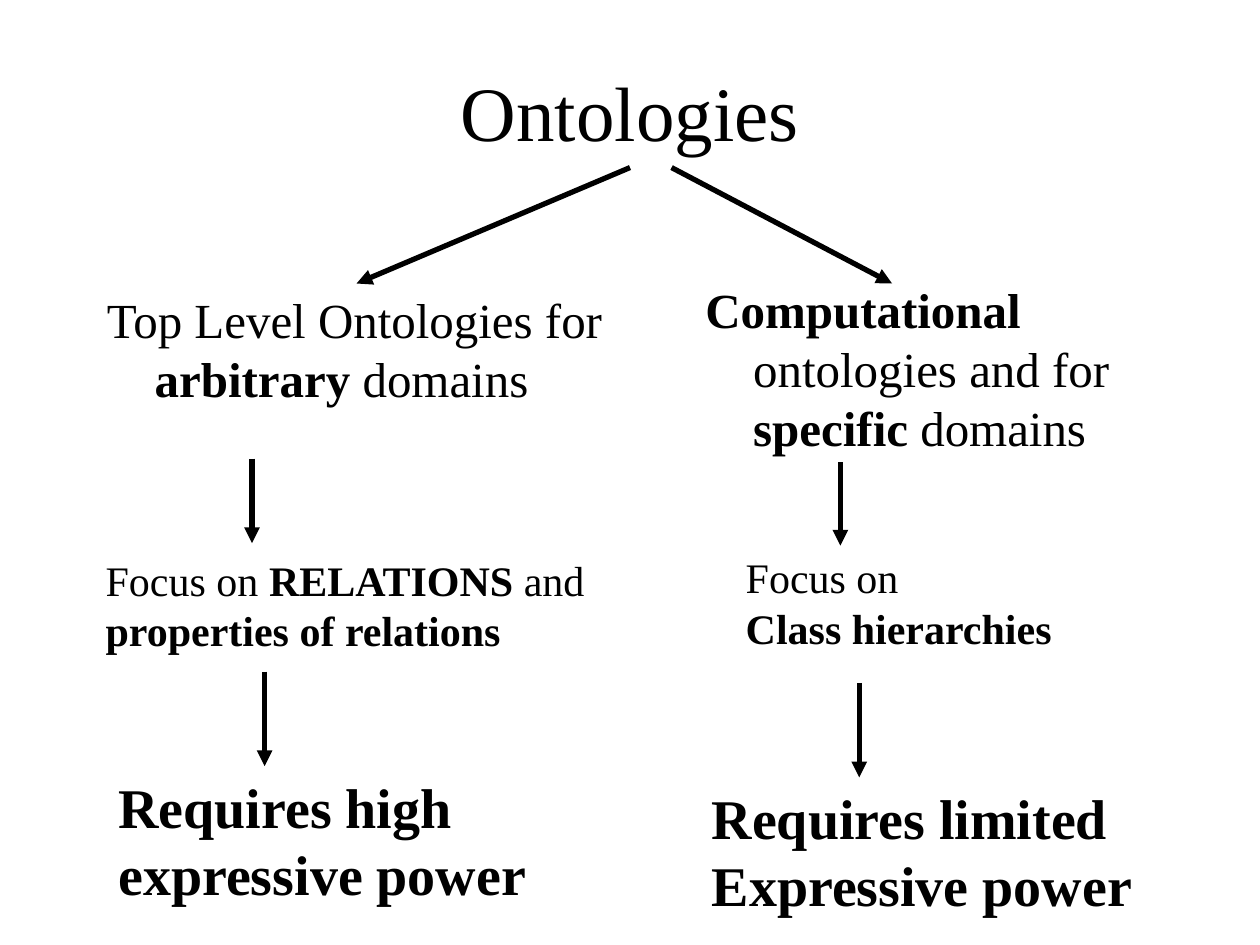
from dataclasses import dataclass

from lxml import etree
from pptx import Presentation
from pptx.dml.color import RGBColor
from pptx.enum.shapes import MSO_CONNECTOR
from pptx.enum.text import MSO_ANCHOR, MSO_AUTO_SIZE, PP_ALIGN
from pptx.oxml.ns import qn
from pptx.util import Inches, Pt

STRAIGHT = MSO_CONNECTOR.STRAIGHT
MIDDLE = MSO_ANCHOR.MIDDLE
CENTER = PP_ALIGN.CENTER
NO_FIT = MSO_AUTO_SIZE.NONE
GROW = MSO_AUTO_SIZE.SHAPE_TO_FIT_TEXT


@dataclass(frozen=True)
class Theme:
    ink: RGBColor = RGBColor(0, 0, 0)
    paper: RGBColor = RGBColor(255, 255, 255)
    face: str = "Times New Roman"
    title: int = 44
    branch: int = 28
    focus: int = 24
    power: int = 32
    line: int = 3


@dataclass(frozen=True)
class Label:
    left: float
    top: float
    width: float
    height: float
    size: int
    lines: tuple[str, ...]
    hang: float = 0
    wrap: bool = False


@dataclass(frozen=True)
class Arrow:
    x1: float
    y1: float
    x2: float
    y2: float


THEME = Theme()

LABELS = (
    Label(0.75, 2.25, 4.17, 1.42, THEME.branch,
          ("Top Level Ontologies for *arbitrary* domains",), 0.38, True),
    Label(5.5, 2.17, 4.17, 1.67, THEME.branch,
          ("*Computational* ontologies and for *specific* domains",), 0.38, True),
    Label(0.74, 4.35, 4.02, 0.9, THEME.focus,
          ("Focus on *RELATIONS *and", "*properties of relations*")),
    Label(5.82, 4.33, 2.63, 0.9, THEME.focus,
          ("Focus on", "*Class hierarchies*")),
    Label(0.84, 6.08, 3.45, 1.17, THEME.power,
          ("*Requires high*", "*expressive power*")),
    Label(5.55, 6.17, 3.55, 1.17, THEME.power,
          ("*Requires limited*", "*Expressive power*")),
)

ARROWS = (
    Arrow(5, 1.33, 2.83, 2.25),
    Arrow(5.33, 1.33, 7.08, 2.25),
    Arrow(2, 3.64, 2, 4.31),
    Arrow(6.67, 3.67, 6.67, 4.33),
    Arrow(2.1, 5.33, 2.1, 6.08),
    Arrow(6.82, 5.42, 6.82, 6.17),
)


def style(font, size: int, bold: bool = False) -> None:
    font.name = THEME.face
    font.size = Pt(size)
    font.bold = bold
    font.color.rgb = THEME.ink


def draw_title(slide, text: str) -> None:
    title = slide.shapes.title
    title.left, title.top = Inches(0.75), Inches(0.25)
    title.width, title.height = Inches(8.5), Inches(1.25)
    frame = title.text_frame
    frame.text = text
    frame.vertical_anchor = MIDDLE
    para = frame.paragraphs[0]
    para.alignment = CENTER
    style(para.runs[0].font, THEME.title)


def draw_label(slide, label: Label) -> None:
    box = slide.shapes.add_textbox(
        Inches(label.left), Inches(label.top),
        Inches(label.width), Inches(label.height))
    frame = box.text_frame
    frame.word_wrap = label.wrap
    frame.auto_size = NO_FIT if label.wrap else GROW
    frame.text = "\n".join(label.lines)
    for para, line in zip(frame.paragraphs, label.lines):
        para.clear()
        if label.hang:
            props = para._p.get_or_add_pPr()
            props.set("marL", str(Inches(label.hang)))
            props.set("indent", str(-Inches(label.hang)))
        for index, part in enumerate(line.split("*")):
            if part:
                run = para.add_run()
                run.text = part
                style(run.font, label.size, index % 2 == 1)


def draw_arrow(slide, arrow: Arrow) -> None:
    link = slide.shapes.add_connector(
        STRAIGHT, Inches(arrow.x1), Inches(arrow.y1),
        Inches(arrow.x2), Inches(arrow.y2))
    link.line.color.rgb = THEME.ink
    link.line.width = Pt(THEME.line)
    props = link._element.spPr
    etree.SubElement(props.find(qn("a:ln")), qn("a:tailEnd"), type="triangle")
    etree.SubElement(props, qn("a:effectLst"))


def main() -> None:
    deck = Presentation()
    deck.slide_width, deck.slide_height = Inches(10), Inches(7.5)
    slide = deck.slides.add_slide(deck.slide_layouts[5])
    fill = slide.background.fill
    fill.solid()
    fill.fore_color.rgb = THEME.paper
    draw_title(slide, "Ontologies")
    for label in LABELS:
        draw_label(slide, label)
    for arrow in ARROWS:
        draw_arrow(slide, arrow)
    deck.save("out.pptx")


if __name__ == "__main__":
    main()
